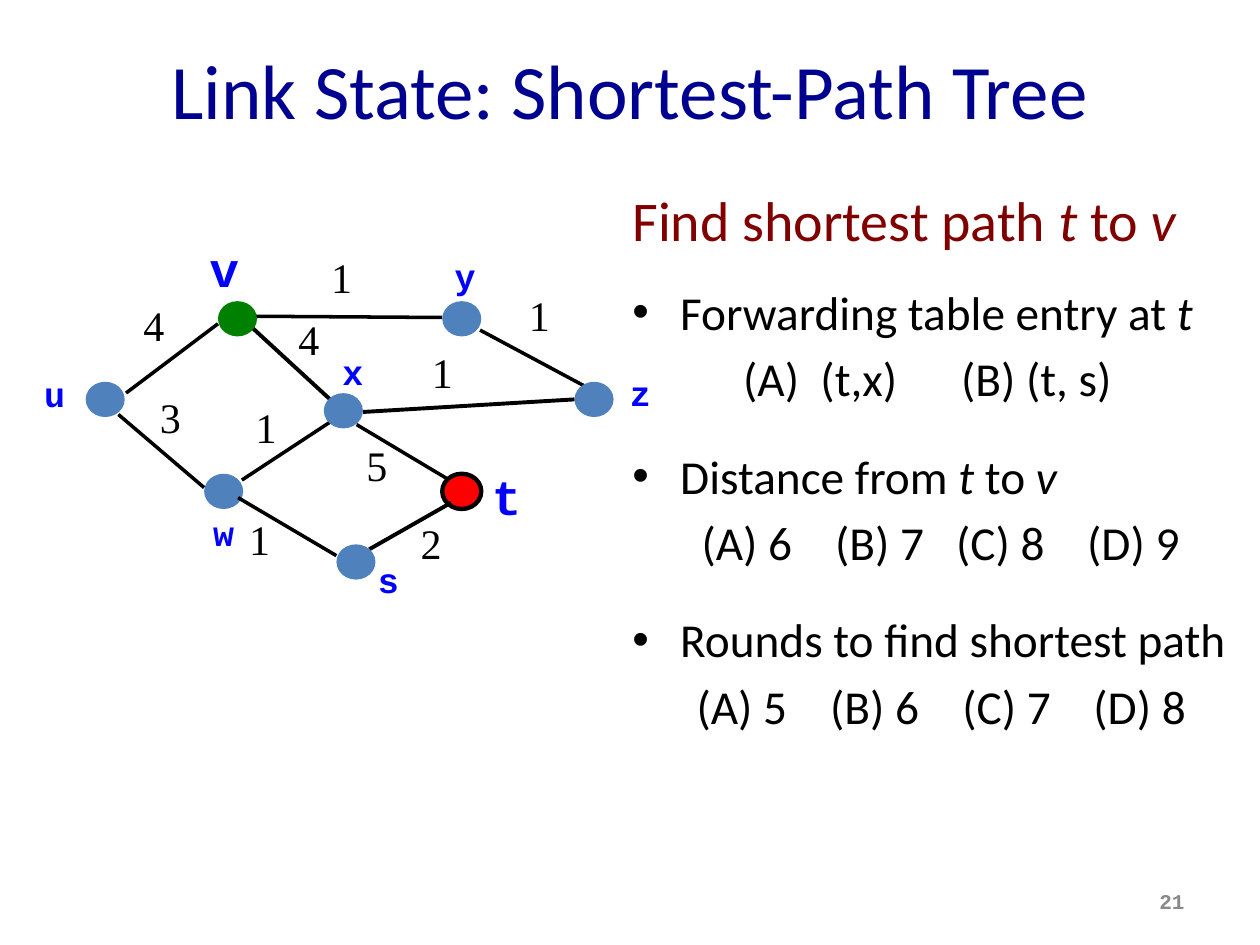
from lxml import etree
from pptx import Presentation
from pptx.dml.color import RGBColor
from pptx.enum.shapes import MSO_CONNECTOR, MSO_SHAPE
from pptx.enum.text import MSO_ANCHOR, PP_ALIGN
from pptx.oxml.ns import qn
from pptx.util import Inches, Pt

OVAL, STRAIGHT = MSO_SHAPE.OVAL, MSO_CONNECTOR.STRAIGHT
TOP, MIDDLE = MSO_ANCHOR.TOP, MSO_ANCHOR.MIDDLE
LEFT, CENTER, RIGHT = PP_ALIGN.LEFT, PP_ALIGN.CENTER, PP_ALIGN.RIGHT

NAVY = RGBColor(0x00, 0x00, 0x90)
MAROON = RGBColor(0x80, 0x00, 0x00)
BLACK = RGBColor(0x00, 0x00, 0x00)
BLUE = RGBColor(0x00, 0x00, 0xFF)
STEEL = RGBColor(0x4F, 0x81, 0xBD)
RED = RGBColor(0xFF, 0x00, 0x00)
GREEN = RGBColor(0x00, 0x80, 0x00)
GRAY = RGBColor(0x89, 0x89, 0x89)

BODY_FONT, COST_FONT, NAME_FONT = "Calibri", "Times New Roman", "Courier New"
NODE_WIDTH, NODE_HEIGHT = 0.31, 0.28
HANGING = 0.38

# Nodes: left, top, fill, outline width
NODES_BEHIND = [
    (0.68, 3.03, STEEL, 0),     # u
    (1.62, 3.76, STEEL, 0),     # w
    (3.51, 3.76, RED, 2.5),     # t
]
NODES_IN_FRONT = [
    (1.73, 2.39, GREEN, 0),     # v
    (2.57, 3.12, STEEL, 0),     # x
    (3.51, 2.39, STEEL, 0),     # y
    (2.67, 4.32, STEEL, 0),     # s
    (4.56, 3.03, STEEL, 0),     # z
]

# Edges: start, end, width, cost, place of the cost
EDGES = [
    ((1, 3.12), (1.73, 2.57), 2, "4", (1.04, 2.33)),         # u-v
    ((0.94, 3.29), (1.62, 3.87), 2, "3", (1.17, 3.06)),      # u-w
    ((1.99, 2.59), (2.62, 3.17), 2.25, "4", (2.27, 2.44)),   # v-x
    ((1.89, 3.95), (2.67, 4.41), 2, "1", (1.88, 4.03)),      # w-s
    ((1.92, 3.81), (2.62, 3.35), 2, "1", (1.93, 3.14)),      # w-x
    ((2.83, 3.37), (3.55, 3.8), 2, "5", (2.81, 3.44)),       # x-t
    ((2.93, 4.36), (3.58, 3.99), 2.25, "2", (3.24, 4.06)),   # s-t
    ((2.88, 3.27), (4.56, 3.17), 2.25, "1", (3.33, 2.7)),    # x-z
    ((2.01, 2.51), (3.51, 2.52), 2, "1", (2.53, 1.95)),      # v-y
    ((3.81, 2.62), (4.65, 3.07), 2, "1", (4.1, 2.25)),       # y-z
]

# Node names: text, left, top, width, size
NAMES = [
    ("u", 0.25, 2.91, 0.37, 20), ("v", 1.56, 1.84, 0.44, 28),
    ("w", 1.56, 4.01, 0.43, 20), ("x", 2.62, 2.73, 0.36, 20),
    ("y", 3.51, 1.97, 0.35, 20), ("z", 4.9, 2.9, 0.34, 20),
    ("s", 2.9, 4.38, 0.36, 20), ("t", 3.8, 3.65, 0.44, 28),
]

# Questions: spans (every second one italic), answers, their tab stops
HEADING = ["Find shortest path", " t ", "to ", "v"]
QUESTIONS = [
    (["Forwarding table entry at ", "t"],
     ["(A)  (t,x)", "(B) (t, s)"], [0.88, 2.61]),
    (["Distance from ", "t", " to ", "v"],
     ["(A) 6", "(B) 7", "(C) 8", "(D) 9"], [0.55, 1.61, 2.57, 3.61]),
    (["Rounds to find shortest path"],
     ["(A) 5", "(B) 6", "(C) 7", "(D) 8"], [0.51, 1.57, 2.62, 3.66]),
]


class GraphPage:
    """Draws the elements of one slide in a shared style."""

    def __init__(self, page):
        self.page = page

    def style(self, font, name, size, color, bold=False):
        font.name, font.size, font.bold = name, Pt(size), bold
        font.color.rgb = color

    def text_box(self, left, top, width, height, anchor=TOP, wrap=True):
        box = self.page.shapes.add_textbox(
            Inches(left), Inches(top), Inches(width), Inches(height))
        box.text_frame.word_wrap = wrap
        box.text_frame.vertical_anchor = anchor
        return box.text_frame

    def label(self, text, place, name, size, color, align=LEFT, bold=False,
              anchor=TOP, wrap=False):
        frame = self.text_box(*place, anchor, wrap)
        frame.text = text
        para = frame.paragraphs[0]
        para.alignment = align
        self.style(para.runs[0].font, name, size, color, bold)

    def node(self, left, top, fill, outline):
        oval = self.page.shapes.add_shape(
            OVAL, Inches(left), Inches(top), Inches(NODE_WIDTH), Inches(NODE_HEIGHT))
        oval.shadow.inherit = False
        oval.fill.solid()
        oval.fill.fore_color.rgb = fill
        if outline:
            oval.line.color.rgb = BLACK
            oval.line.width = Pt(outline)
        else:
            oval.line.fill.background()

    def edge(self, start, end, width):
        line = self.page.shapes.add_connector(
            STRAIGHT, *[Inches(value) for value in start + end])
        line.line.color.rgb = BLACK
        line.line.width = Pt(width)
        etree.SubElement(line._element.spPr, qn("a:effectLst"))

    def spans(self, para, texts, size, color):
        for index, text in enumerate(texts):
            span = para.add_run()
            span.text = text
            self.style(span.font, BODY_FONT, size, color)
            span.font.italic = index % 2 == 1

    def bullet(self, para):
        properties = para._p.get_or_add_pPr()
        properties.set("marL", str(Inches(HANGING)))
        properties.set("indent", str(-Inches(HANGING)))
        etree.SubElement(properties, qn("a:buFont"), typeface="Arial")
        etree.SubElement(properties, qn("a:buChar"), char="•")

    def tab_stops(self, para, stops):
        tabs = etree.SubElement(para._p.get_or_add_pPr(), qn("a:tabLst"))
        for stop in stops:
            etree.SubElement(tabs, qn("a:tab"), pos=str(Inches(stop)), algn="l")

    def quiz(self, place, size):
        frame = self.text_box(*place)
        heading = frame.paragraphs[0]
        heading.space_after = Pt(12)
        self.spans(heading, HEADING, 32, MAROON)
        for question, answers, stops in QUESTIONS:
            asked, choices = frame.add_paragraph(), frame.add_paragraph()
            self.bullet(asked)
            self.tab_stops(choices, stops)
            asked.space_before = choices.space_before = Pt(size * 0.2)
            choices.space_after = Pt(18)
            self.spans(asked, question, size, BLACK)
            self.spans(choices, ["\t" + "\t".join(answers)], size, BLACK)


def main():
    deck = Presentation()
    deck.slide_width, deck.slide_height = Inches(10), Inches(7.5)
    graph = GraphPage(deck.slides.add_slide(deck.slide_layouts[6]))

    # Title and questions
    graph.label("Link State: Shortest-Path Tree", (0.5, 0.08, 9, 1.25),
                BODY_FONT, 44, NAVY, CENTER, anchor=MIDDLE, wrap=True)
    graph.quiz((4.92, 1.42, 5.08, 4.95), 27)

    # Network graph
    for node in NODES_BEHIND:
        graph.node(*node)
    for start, end, width, _, _ in EDGES:
        graph.edge(start, end, width)
    for _, _, _, cost, place in EDGES:
        graph.label(cost, (*place, 0.37, 0.51), COST_FONT, 24, BLACK)
    for name, left, top, width, size in NAMES:
        height = 0.57 if size == 28 else 0.43
        graph.label(name, (left, top, width, height), NAME_FONT, size, BLUE,
                    CENTER, bold=True)
    for node in NODES_IN_FRONT:
        graph.node(*node)

    # Page number
    graph.label("21", (7.17, 6.95, 2.33, 0.4), NAME_FONT, 12, GRAY, RIGHT,
                bold=True, anchor=MIDDLE, wrap=True)

    deck.save("out.pptx")


if __name__ == "__main__":
    main()
